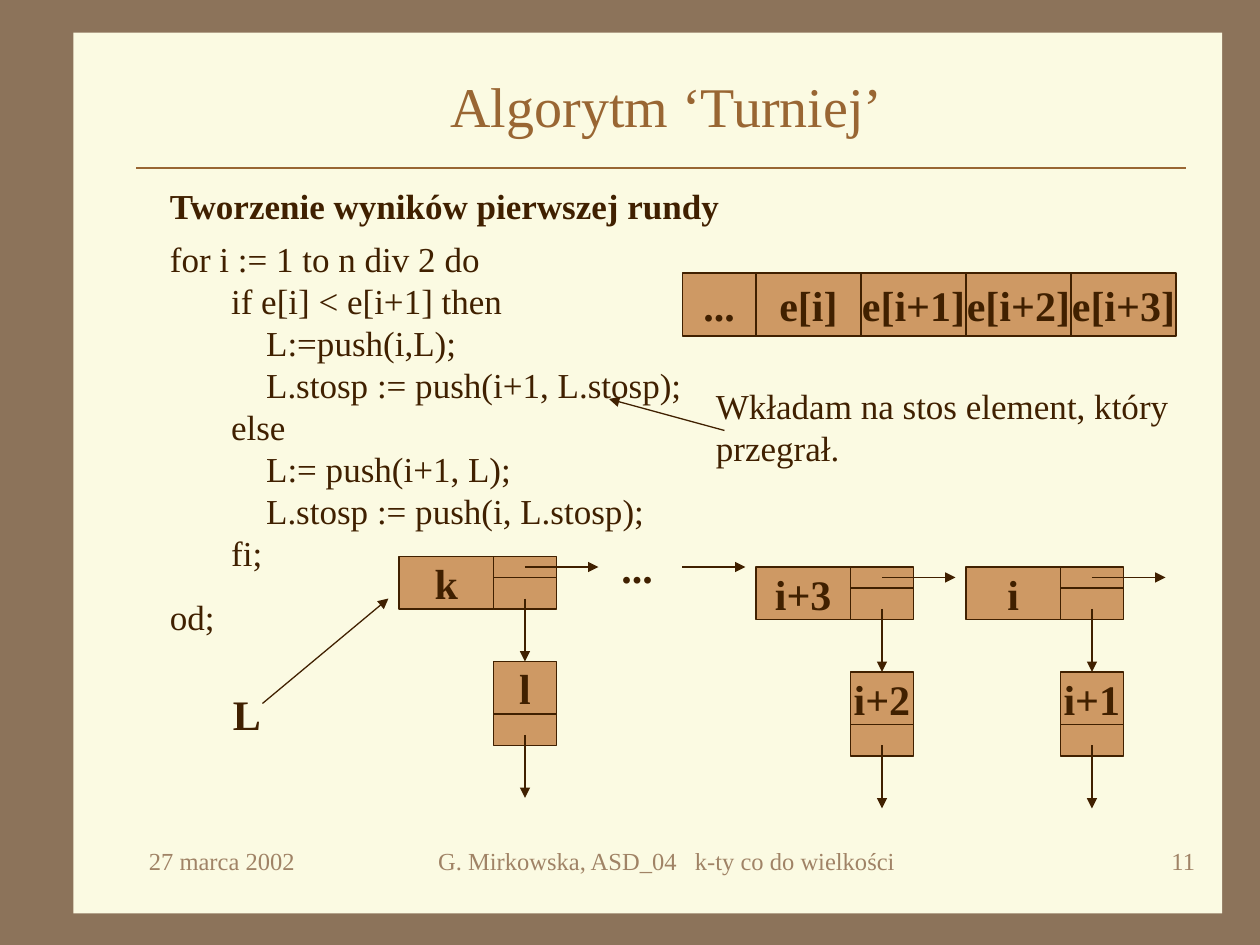
"""Build the slide on the first round of the tournament algorithm."""
from lxml import etree
from pptx import Presentation
from pptx.dml.color import RGBColor
from pptx.enum.shapes import MSO_CONNECTOR, MSO_SHAPE
from pptx.enum.text import MSO_ANCHOR, PP_ALIGN
from pptx.oxml.ns import qn
from pptx.util import Pt

PX = 7620
FONT = "Times New Roman"
BROWN = RGBColor(0x8C, 0x73, 0x5A)
CREAM = RGBColor(0xFB, 0xFA, 0xE2)
TITLE = RGBColor(0x99, 0x66, 0x33)
INK = RGBColor(0x40, 0x20, 0x00)
TAN = RGBColor(0xCE, 0x99, 0x64)
MUTED = RGBColor(0xA0, 0x83, 0x66)

prs = Presentation()
prs.slide_width, prs.slide_height = 1200 * PX, 900 * PX
slide = prs.slides.add_slide(prs.slide_layouts[6])
slide.background.fill.solid()
slide.background.fill.fore_color.rgb = BROWN


def add_text(text, x, y, w, h, size=20, bold=False, color=INK, align=PP_ALIGN.LEFT,
             anchor=MSO_ANCHOR.TOP, fill=None, line=None):
    frame = [v * PX for v in (x, y, w, h)]
    if fill is None:
        s = slide.shapes.add_textbox(*frame)
    else:
        s = slide.shapes.add_shape(MSO_SHAPE.RECTANGLE, *frame)
        s.shadow.inherit = False
        s.fill.solid()
        s.fill.fore_color.rgb = fill
        if line is None:
            s.line.fill.background()
        else:
            s.line.color.rgb = line
            s.line.width = Pt(0.75)
    tf = s.text_frame
    tf.word_wrap = fill is None
    tf.vertical_anchor = anchor
    for i, part in enumerate(text.split("\n\n")):
        p = tf.add_paragraph() if i else tf.paragraphs[0]
        p.text = part
        p.alignment = align
        if i:
            p.space_before = Pt(12.5)
        for r in p.runs:
            r.font.name = FONT
            r.font.size = Pt(size)
            r.font.bold = bold
            r.font.color.rgb = color
    return s


def add_line(x1, y1, x2, y2, color=INK, arrow=True):
    s = slide.shapes.add_connector(MSO_CONNECTOR.STRAIGHT, x1 * PX, y1 * PX, x2 * PX, y2 * PX)
    s.line.color.rgb = color
    s.line.width = Pt(0.75)
    if arrow:
        etree.SubElement(s.line._get_or_add_ln(), qn("a:tailEnd"), type="triangle")
    etree.SubElement(s._element.spPr, qn("a:effectLst"))
    return s


CODE = """for i := 1 to n div 2 do
       if e[i] < e[i+1] then
           L:=push(i,L);
           L.stosp := push(i+1, L.stosp);
       else
           L:= push(i+1, L);
           L.stosp := push(i, L.stosp);
       fi;

od;"""
CELL = dict(size=24, bold=True, align=PP_ALIGN.CENTER, anchor=MSO_ANCHOR.MIDDLE,
            fill=TAN, line=INK)

add_text("", 70, 31, 1094, 839, fill=CREAM)
add_line(130, 160, 1130, 160, color=TITLE, arrow=False)
add_text("Algorytm ‘Turniej’", 130, 60, 1010, 80, size=32, color=TITLE,
         align=PP_ALIGN.CENTER, anchor=MSO_ANCHOR.MIDDLE)
add_text(CODE, 150, 220, 620, 394)
add_text("Tworzenie wyników pierwszej rundy", 150, 170, 790, 53, bold=True)

add_text("...", 650, 260, 70, 60, **CELL)
for i, label in enumerate(["e[i]", "e[i+1]", "e[i+2]", "e[i+3]"]):
    add_text(label, 720 + 100 * i, 260, 100, 60, **CELL)

for winner, loser, x, y in [("i+3", "i+2", 720, 540), ("i", "i+1", 920, 540),
                            ("k", "l", 380, 530)]:
    mid = x + 120
    add_text(winner, x, y, 90, 50, **CELL)
    add_text("", x + 90, y, 60, 20, **CELL)
    add_text("", x + 90, y + 20, 60, 30, **CELL)
    stack = add_text(loser, x + 90, y + 100, 60, 50, **CELL)
    add_text("", x + 90, y + 150, 60, 30, **CELL)
    add_line(mid, y + 10, x + 190, y + 10)
    add_line(mid, y + 40, mid, y + 100).end_connect(stack, 0)
    add_line(mid, y + 170, mid, y + 230)

add_text("L", 210, 650, 60, 60, size=24, bold=True)
add_line(250, 670, 370, 570)
add_text("...", 580, 510, 80, 60, size=24, bold=True)
add_line(650, 540, 710, 540)

add_text("Wkładam na stos element, który przegrał.", 670, 360, 490, 92)
add_line(690, 410, 580, 380)

for text, x, w, align in [
    ("27 marca 2002", 130, 250, PP_ALIGN.LEFT),
    ("G. Mirkowska, ASD_04   k-ty co do wielkości", 370, 530, PP_ALIGN.CENTER),
    ("11", 900, 250, PP_ALIGN.RIGHT),
]:
    add_text(text, x, 800, w, 60, size=14, color=MUTED, align=align)

prs.save("out.pptx")
